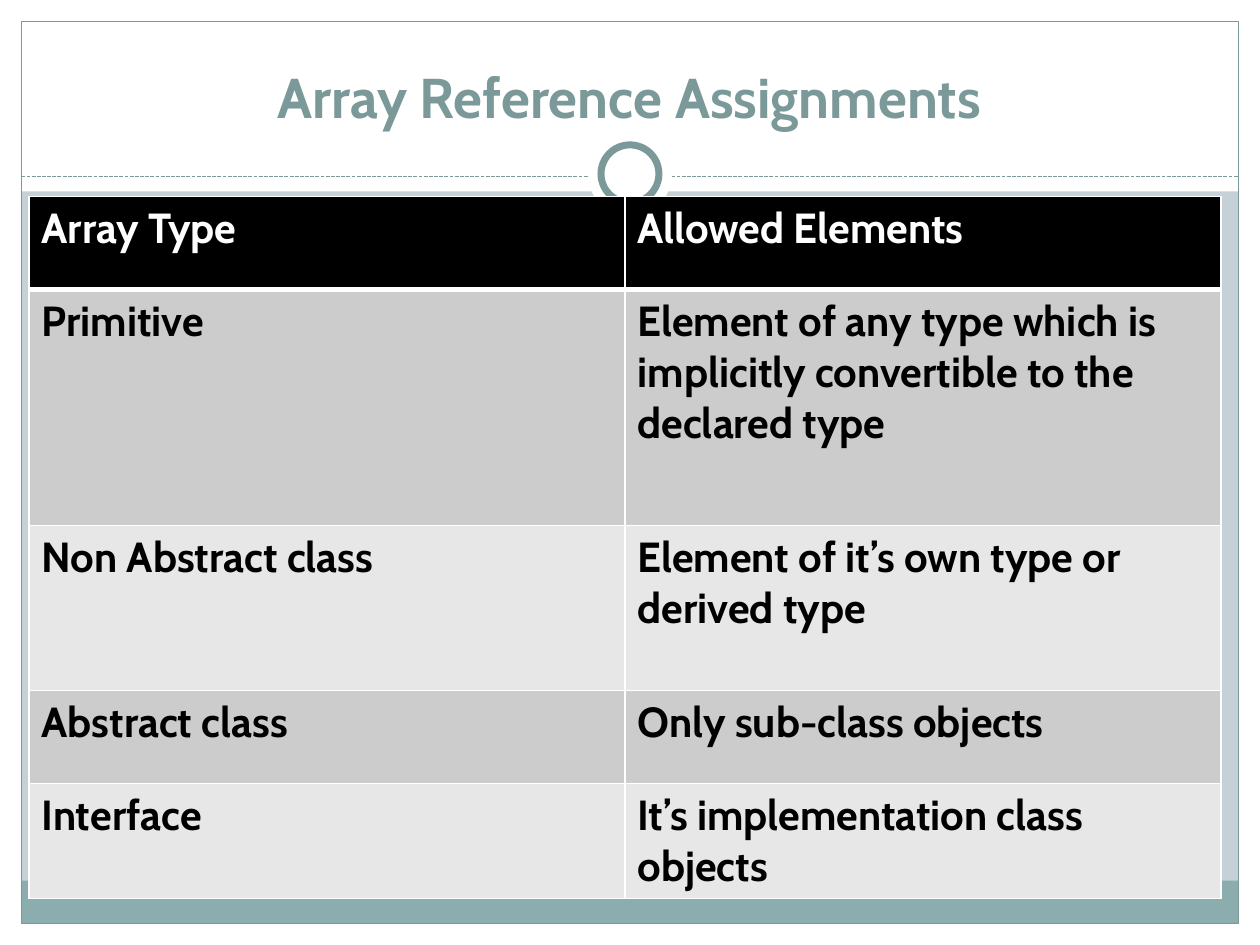
from lxml import etree
from pptx import Presentation
from pptx import util as u
from pptx.dml.color import RGBColor
from pptx.enum import dml, shapes, text
from pptx.oxml import ns

WHITE = RGBColor(0xFF, 0xFF, 0xFF)
BLACK = RGBColor(0x00, 0x00, 0x00)
BACKDROP = RGBColor(0xC5, 0xD1, 0xD7)
FOOTER = RGBColor(0x8C, 0xAD, 0xAE)
ACCENT = RGBColor(0x7C, 0x99, 0x9A)
BANDS = (RGBColor(0xCC, 0xCC, 0xCC), RGBColor(0xE7, 0xE7, 0xE7))

FONT = "Cabin"
WIDTH, HEIGHT, MARGIN = 10, 7.5, 0.17
HEADER_HEIGHT, RULE_TOP = 1.52, 1.4
RING_CENTER = 1.38
COLUMN_WIDTH = 4.73
ROW_HEIGHTS = (0.74, 1.87, 1.31, 0.74, 0.74)
ROWS = (
    ("Array Type", "Allowed Elements"),
    ("Primitive", "Element of any type which is implicitly convertible to the declared type"),
    ("Non Abstract class", "Element of it’s own type or derived type"),
    ("Abstract class", "Only sub-class objects"),
    ("Interface", "It’s implementation class objects"),
)


def inches(*lengths):
    """Convert lengths in inches to slide units."""
    return [u.Inches(length) for length in lengths]


def add_panel(page, place, fill=None, line=None, weight=0.75, kind=shapes.MSO_SHAPE.RECTANGLE):
    """Add a flat preset shape with an optional fill and outline."""
    panel = page.shapes.add_shape(kind, *inches(*place))
    panel.shadow.inherit = False
    if fill is None:
        panel.fill.background()
    else:
        panel.fill.solid()
        panel.fill.fore_color.rgb = fill
    if line is None:
        panel.line.fill.background()
    else:
        panel.line.color.rgb = line
        panel.line.width = u.Pt(weight)


def add_disc(page, size, line=None):
    """Add a white disc centred on the dashed rule."""
    place = ((WIDTH - size) / 2, RING_CENTER - size / 2, size, size)
    add_panel(page, place, WHITE, line, 4, shapes.MSO_SHAPE.OVAL)


def add_rule(page):
    """Add the dashed rule below the title."""
    rule = page.shapes.add_connector(
        shapes.MSO_CONNECTOR.STRAIGHT, *inches(MARGIN, RULE_TOP, WIDTH - MARGIN, RULE_TOP))
    rule.line.color.rgb = ACCENT
    rule.line.width = u.Pt(0.75)
    rule.line.dash_style = dml.MSO_LINE.SQUARE_DOT
    etree.SubElement(rule._element.spPr, ns.qn("a:effectLst"))


def add_frame(page):
    """Add the white margins, footer band, outline, rule and ring."""
    inner = WIDTH - 2 * MARGIN
    for place in (
        (0, HEIGHT - MARGIN, WIDTH, MARGIN),
        (0, 0, WIDTH, HEADER_HEIGHT),
        (0, 0, MARGIN, HEIGHT),
        (WIDTH - MARGIN, 0, MARGIN, HEIGHT),
    ):
        add_panel(page, place, WHITE)
    add_panel(page, (MARGIN, 6.99, inner, 0.34), FOOTER)
    add_panel(page, (MARGIN, MARGIN, inner, HEIGHT - 2 * MARGIN), line=ACCENT)
    add_rule(page)
    add_disc(page, 0.67)
    add_disc(page, 0.46, ACCENT)


def style_text(frame, size, color):
    """Format every run of a text frame."""
    for para in frame.paragraphs:
        for span in para.runs:
            span.font.name = FONT
            span.font.size = u.Pt(size)
            span.font.bold = True
            span.font.color.rgb = color


def place_title(page, wording):
    """Fill the title placeholder and bring it in front of the frame."""
    title = page.shapes.title
    title.left, title.top, title.width, title.height = inches(0.33, 0.25, 9.33, 0.83)
    frame = title.text_frame
    frame.text = wording
    frame.word_wrap = True
    frame.vertical_anchor = text.MSO_ANCHOR.BOTTOM
    frame.paragraphs[0].alignment = text.PP_ALIGN.CENTER
    style_text(frame, 32, ACCENT)
    page.shapes._spTree.append(title._element)


def add_borders(cell, top, bottom):
    """Give a cell white borders with the given top and bottom weights."""
    properties = cell._tc.get_or_add_tcPr()
    weights = (("L", 1), ("R", 1), ("T", top), ("B", bottom))
    for index, (side, weight) in enumerate(weights):
        line = etree.Element(ns.qn(f"a:ln{side}"), w=str(u.Pt(weight)))
        fill = etree.SubElement(line, ns.qn("a:solidFill"))
        etree.SubElement(fill, ns.qn("a:srgbClr"), val=str(WHITE))
        properties.insert(index, line)


def add_grid(page):
    """Add the table of array types and their allowed elements."""
    table = page.shapes.add_table(
        len(ROWS), 2, *inches(0.23, 1.56, 2 * COLUMN_WIDTH, sum(ROW_HEIGHTS))).table
    for column in table.columns:
        column.width = u.Inches(COLUMN_WIDTH)
    for index, (wording, height) in enumerate(zip(ROWS, ROW_HEIGHTS)):
        table.rows[index].height = u.Inches(height)
        header = index == 0
        for cell, words in zip(table.rows[index].cells, wording):
            cell.text_frame.text = words
            style_text(cell.text_frame, 24, WHITE if header else BLACK)
            cell.fill.solid()
            cell.fill.fore_color.rgb = BLACK if header else BANDS[(index - 1) % 2]
            add_borders(cell, 3 if index == 1 else 1, 3 if header else 1)


def main():
    """Build and save the slide."""
    deck = Presentation()
    deck.slide_width, deck.slide_height = inches(WIDTH, HEIGHT)
    page = deck.slides.add_slide(deck.slide_layouts.get_by_name("Title Only"))
    page.background.fill.solid()
    page.background.fill.fore_color.rgb = BACKDROP
    add_frame(page)
    place_title(page, "Array Reference Assignments")
    add_grid(page)
    deck.save("out.pptx")


if __name__ == "__main__":
    main()
